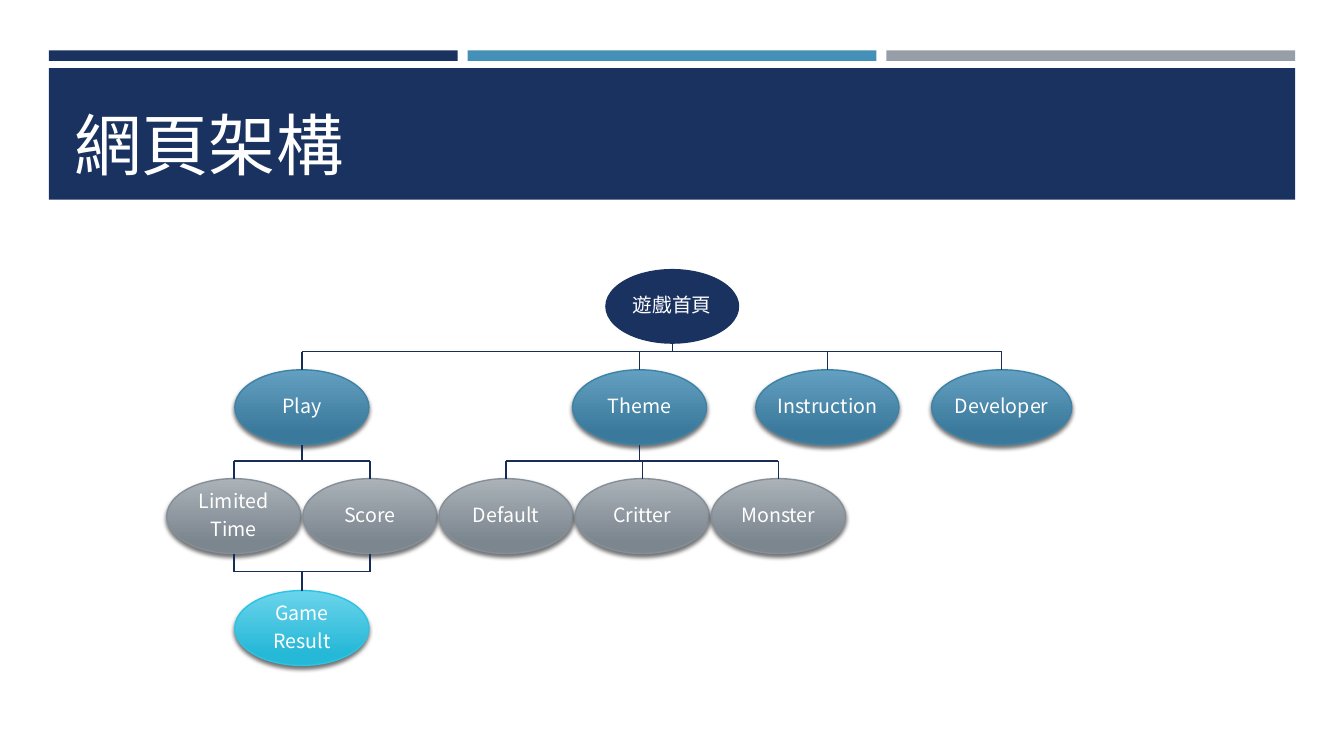
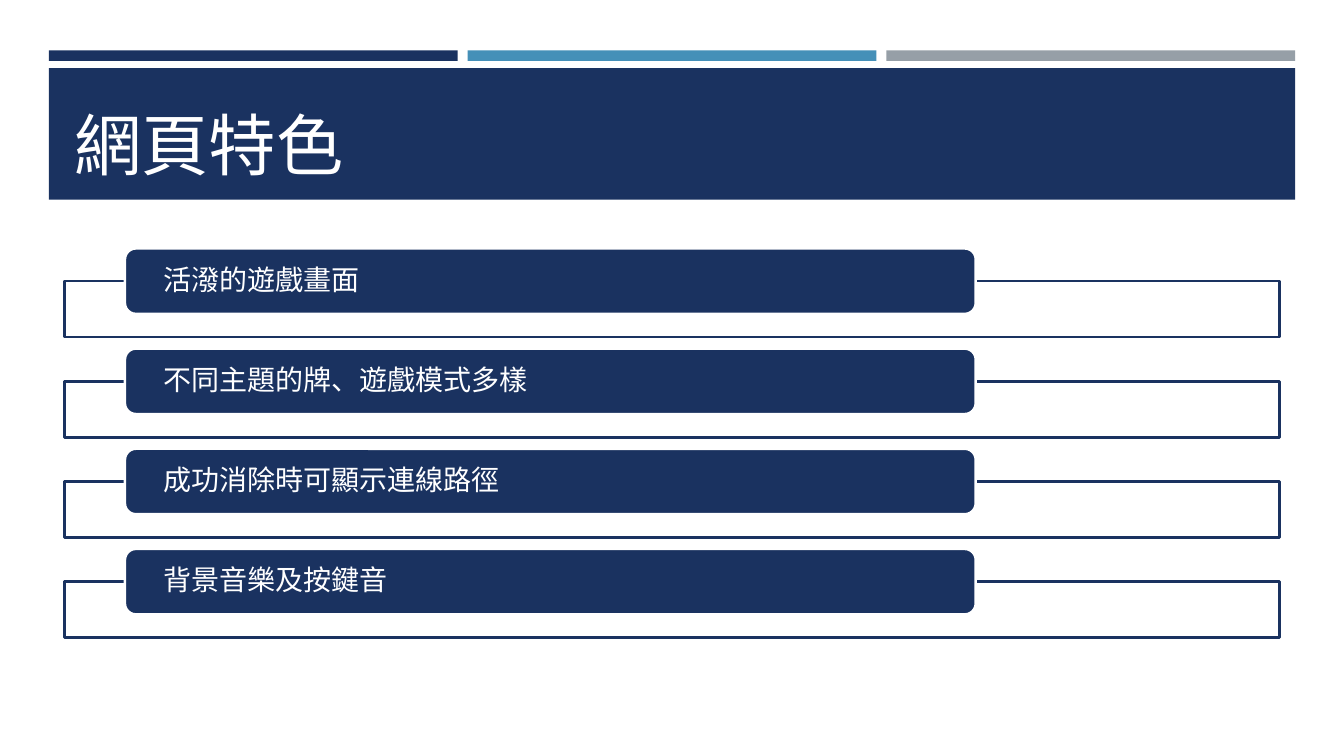
import pptx
import pptx.dml.color
import pptx.enum.shapes
import pptx.enum.text
import pptx.oxml
import pptx.oxml.ns
import pptx.util

SLIDE_W, SLIDE_H = pptx.util.Inches(13.33), pptx.util.Inches(7.5)
NAVY, BLUE, GRAY, WHITE, WIRE = "1A3260", "4590B8", "969FA7", "FFFFFF", "172D56"
LATIN, CJK = "Calibri", "Noto Sans CJK SC"
SHAPES = pptx.enum.shapes.MSO_SHAPE
ALIGN = pptx.enum.text.PP_ALIGN
ANCHOR = pptx.enum.text.MSO_ANCHOR

EDGE, GAP = 3.64, 0.75
CONTENT_LEFT, CONTENT_W = 4.8, 90.4
LEVELS = (40.53, 53.87, 68.27, 83.07)
TREE_LEFT, TREE_COL = 17.4, 10.13
NODE_W, NODE_H = 9.97, 9.9
BAR_TOP, BAR_PITCH = 32.87, 13.25

THEMES = {
    "page": ("639FC1", "3A799B", "3E82A6"),
    "option": ("ABB2B8", "7C868F", "858F99"),
    "result": ("6BD4EC", "26B8D7", "2AC4E5"),
}
PAGES = {
    "home": (["遊戲首頁"], 3.22, 0, NODE_W, None),
    "play": (["Play"], 0.5, 1, NODE_W, "page"),
    "theme": (["Theme"], 2.98, 1, NODE_W, "page"),
    "instruction": (["Instruction"], 4.36, 1, 10.65, "page"),
    "developer": (["Developer"], 5.64, 1, 10.43, "page"),
    "limited": (["Limited", "Time"], 0, 2, NODE_W, "option"),
    "score": (["Score"], 1, 2, NODE_W, "option"),
    "default": (["Default"], 2, 2, NODE_W, "option"),
    "critter": (["Critter"], 3, 2, NODE_W, "option"),
    "monster": (["Monster"], 4, 2, NODE_W, "option"),
    "game result": (["Game", "Result"], 0.5, 3, NODE_W, "result"),
}
BRANCHES = (
    (["home"], ["play", "theme", "instruction", "developer"], 46.53),
    (["play"], ["limited", "score"], 61),
    (["theme"], ["default", "critter", "monster"], 61),
    (["limited", "score"], ["game result"], 75.6),
)
FEATURES = (
    "活潑的遊戲畫面",
    "不同主題的牌、遊戲模式多樣",
    "成功消除時可顯示連線路徑",
    "背景音樂及按鍵音",
)


def rgb(value):
    """Turn a hex string into a colour."""
    return pptx.dml.color.RGBColor.from_string(value)


def across(percent):
    """Give a share of the slide's width."""
    return round(SLIDE_W * percent / 100)


def down(percent):
    """Give a share of the slide's height."""
    return round(SLIDE_H * percent / 100)


def add_block(slide, kind, left, top, width, height, fill=None, line=None):
    """Add a flat preset shape placed in percent of the slide."""
    block = slide.shapes.add_shape(
        kind, across(left), down(top), across(width), down(height))
    block.shadow.inherit = False
    if fill:
        block.fill.solid()
        block.fill.fore_color.rgb = rgb(fill)
    if line:
        block.line.color.rgb = rgb(line)
        block.line.width = pptx.util.Pt(1.75)
    else:
        block.line.fill.background()
    return block


def add_run(paragraph, text, size, font):
    """Add a white run with its Latin and East Asian fonts."""
    run = paragraph.add_run()
    run.text = text
    run.font.size = pptx.util.Pt(size)
    run.font.name = font
    run.font.color.rgb = rgb(WHITE)
    east_asian = pptx.oxml.parse_xml(
        f'<a:ea {pptx.oxml.ns.nsdecls("a")} typeface="{CJK}"/>')
    run.font._element.find(pptx.oxml.ns.qn("a:latin")).addnext(east_asian)


def write_lines(block, lines, size, font, align, side_inset=0):
    """Write paragraphs in the vertical middle of a shape."""
    frame = block.text_frame
    frame.word_wrap = False
    frame.vertical_anchor = ANCHOR.MIDDLE
    frame.margin_left = frame.margin_right = across(side_inset)
    frame.margin_top = frame.margin_bottom = 0
    for index, text in enumerate(lines):
        paragraph = frame.add_paragraph() if index else frame.paragraphs[0]
        paragraph.alignment = align
        paragraph.line_spacing = 0.9
        paragraph.space_after = pptx.util.Pt(size * 0.35)
        add_run(paragraph, text, size, font)


def glaze(block, theme):
    """Give a shape a vertical gradient, a thin outline and a soft shadow."""
    light, dark, outline = THEMES[theme]
    block.fill.gradient()
    block.fill.gradient_angle = 270
    for stop, position, colour in zip(
            block.fill.gradient_stops, (0, 0.84), (light, dark)):
        stop.position = position
        stop.color.rgb = rgb(colour)
    block.line.color.rgb = rgb(outline)
    block.line.width = pptx.util.Pt(1)
    effects = block.element.spPr.find(pptx.oxml.ns.qn("a:effectLst"))
    effects.append(pptx.oxml.parse_xml(
        f'<a:outerShdw {pptx.oxml.ns.nsdecls("a")} blurRad="38100" '
        'dist="25400" dir="5400000" rotWithShape="0"><a:srgbClr val="000000">'
        '<a:alpha val="55000"/></a:srgbClr></a:outerShdw>'))


def add_wire(slide, x1, y1, x2, y2):
    """Add a thin straight line between two points in percent."""
    wire = slide.shapes.add_connector(
        pptx.enum.shapes.MSO_CONNECTOR.STRAIGHT,
        across(x1), down(y1), across(x2), down(y2))
    wire.line.color.rgb = rgb(WIRE)
    wire.line.width = pptx.util.Pt(1)
    wire.element.spPr.append(pptx.oxml.parse_xml(
        f'<a:effectLst {pptx.oxml.ns.nsdecls("a")}/>'))


def page_centre(page):
    """Find the centre of a page of the site tree."""
    column, level = PAGES[page][1:3]
    return TREE_LEFT + column * TREE_COL, LEVELS[level]


def add_page(slide, page):
    """Add one oval of the site tree."""
    lines, _, _, width, theme = PAGES[page]
    x, y = page_centre(page)
    oval = add_block(slide, SHAPES.OVAL, x - width / 2, y - NODE_H / 2,
                     width, NODE_H, NAVY)
    if theme:
        glaze(oval, theme)
    write_lines(oval, lines, 14, CJK, ALIGN.CENTER)


def add_branch(slide, uppers, lowers, bus):
    """Join upper pages to lower pages through a horizontal bus."""
    ends = []
    for pages, side in ((uppers, 1), (lowers, -1)):
        for page in pages:
            x, y = page_centre(page)
            add_wire(slide, x, y + side * NODE_H / 2, x, bus)
            ends.append(x)
    add_wire(slide, min(ends), bus, max(ends), bus)


def add_feature(slide, index, feature):
    """Add one feature bar over its outlined frame."""
    top = BAR_TOP + index * BAR_PITCH
    add_block(slide, SHAPES.RECTANGLE, CONTENT_LEFT, top + 4.33,
              CONTENT_W, 7.4, WHITE, NAVY)
    bar = add_block(slide, SHAPES.ROUNDED_RECTANGLE, 9.3, top,
                    63.3, 8.65, NAVY, WHITE)
    write_lines(bar, [feature], 20, LATIN, ALIGN.LEFT, 2.6)


def style_layout(layout, slide):
    """Put the shared bands and the title's place on the layout."""
    full = 100 - 2 * EDGE
    width = (full - 2 * GAP) / 3
    bands = [add_block(slide, SHAPES.RECTANGLE, EDGE + i * (width + GAP), 6.67,
                       width, 1.4, colour)
             for i, colour in enumerate((NAVY, BLUE, GRAY))]
    bands.append(add_block(slide, SHAPES.RECTANGLE, EDGE, 9, full, 17.4, NAVY))
    for index, band in enumerate(bands):
        band.element.nvSpPr.cNvPr.set("id", str(100 + index))
        layout.shapes.element.insert(2 + index, band.element)
    title = layout.placeholders[0]
    title.left, title.top = across(CONTENT_LEFT), down(10.27)
    title.width, title.height = across(CONTENT_W), down(14.8)
    title.text_frame.vertical_anchor = ANCHOR.BOTTOM
    title.text_frame.auto_size = pptx.enum.text.MSO_AUTO_SIZE.NONE


def add_titled_slide(deck, layout, heading):
    """Add a slide with its heading in the title placeholder."""
    slide = deck.slides.add_slide(layout)
    paragraph = slide.shapes.title.text_frame.paragraphs[0]
    paragraph.alignment = ALIGN.LEFT
    add_run(paragraph, heading, 48, LATIN)
    return slide


def main():
    """Build the deck and save it."""
    deck = pptx.Presentation()
    deck.slide_width, deck.slide_height = SLIDE_W, SLIDE_H
    layout = deck.slide_layouts[5]

    structure = add_titled_slide(deck, layout, "網頁架構")
    style_layout(layout, structure)
    for page in PAGES:
        add_page(structure, page)
    for uppers, lowers, bus in BRANCHES:
        add_branch(structure, uppers, lowers, bus)

    highlights = add_titled_slide(deck, layout, "網頁特色")
    for index, feature in enumerate(FEATURES):
        add_feature(highlights, index, feature)

    deck.save("out.pptx")


if __name__ == "__main__":
    main()
